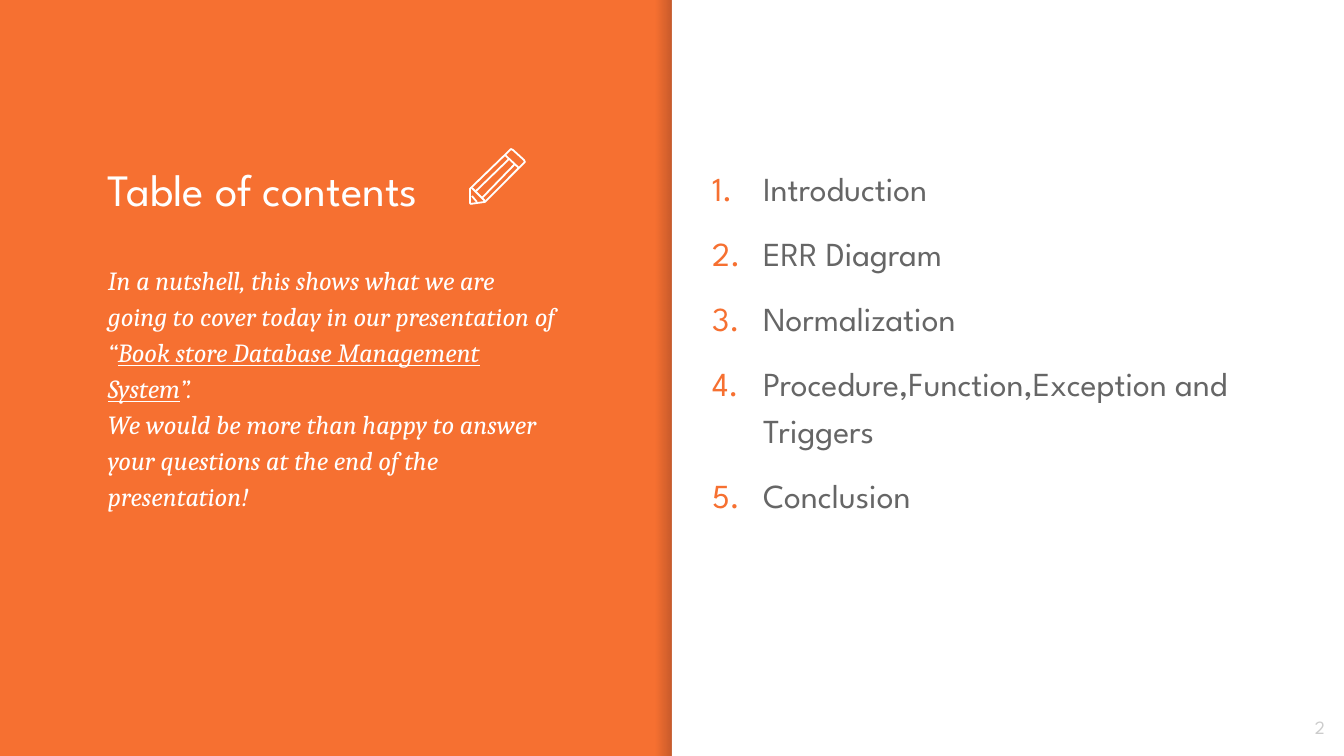
from lxml.etree import SubElement
from pptx import Presentation
from pptx.dml.color import RGBColor
from pptx.enum.shapes import MSO_SHAPE as Shape
from pptx.enum.text import MSO_ANCHOR as Anchor, PP_ALIGN as Align
from pptx.oxml.ns import qn
from pptx.util import Emu, Pt

PX = 914400 / 134.4
WIDTH, HEIGHT = 1344, 756
HALF = WIDTH // 2
SHADOW_WIDTH = 17
INSET = 13
COLORS = {"orange": "F67031", "white": "FFFFFF", "shade": "000014",
          "gray": "666666", "number": "CCCCCC"}
SANS, SERIF = "League Spartan", "Cambria"

# Content
TITLE = "Table of contents"
# Each paragraph is a list of (text, underlined)
INTRO = [
    [("In a nutshell, this shows what we are going to cover today in our presentation of “", False),
     ("Book store Database Management System", True),
     ("”.", False)],
    [("We would be more than happy to answer your questions at the end of the presentation!", False)],
]
TOPICS = ["Introduction", "ERR Diagram", "Normalization",
          "Procedure,Function,Exception and Triggers", "Conclusion"]
PAGE_NUMBER = "2"

# Pencil strokes: (points, closed)
PENCIL = [
    ([(524, 160), (513, 150), (511, 149), (510, 150), (505, 155),
      (519, 168), (524, 163), (525, 162)], True),       # eraser
    ([(505, 155), (471, 188), (470, 189), (470, 203), (471, 204),
      (485, 202), (519, 168)], False),                  # barrel
    ([(515, 164), (482, 198)], False),                  # lower edge
    ([(476, 191), (509, 159)], False),                  # upper edge
    ([(477, 202), (472, 196)], False),                  # lead
    ([(472, 188), (485, 201)], False),                  # sharpened edge
]


def px(value):
    return Emu(round(value * PX))


def color(name):
    return RGBColor.from_string(COLORS[name])


def add_panel(page, left, width):
    panel = page.shapes.add_shape(Shape.RECTANGLE, px(left), 0, px(width), px(HEIGHT))
    panel.shadow.inherit = False
    panel.line.fill.background()
    return panel


def add_text(page, left, top, width, height, paragraphs, font, size, tint,
             italic=False, spacing=None, anchor=Anchor.TOP):
    box = page.shapes.add_textbox(px(left), px(top), px(width), px(height))
    frame = box.text_frame
    frame.word_wrap = True
    frame.vertical_anchor = anchor
    frame.margin_left = frame.margin_right = px(INSET)
    frame.margin_top = frame.margin_bottom = px(INSET)
    for index, spans in enumerate(paragraphs):
        para = frame.add_paragraph() if index else frame.paragraphs[0]
        para.line_spacing = spacing
        para.font.name, para.font.size = font, Pt(size)
        para.font.italic = italic
        para.font.color.rgb = color(tint)
        for text, underlined in spans:
            span = para.add_run()
            span.text = text
            if underlined:
                span.font.underline = True
    return frame.paragraphs


def number_paragraph(para, indent, hanging):
    props = para._p.get_or_add_pPr()
    props.set("marL", str(px(indent)))
    props.set("indent", str(-px(hanging)))
    bullet_color = SubElement(props, qn("a:buClr"))
    SubElement(bullet_color, qn("a:srgbClr"), val=COLORS["orange"])
    bullet = SubElement(props, qn("a:buAutoNum"), type="arabicPeriod")
    # Bullet properties come before the default run properties
    defaults = props.find(qn("a:defRPr"))
    defaults.addprevious(bullet_color)
    defaults.addprevious(bullet)


deck = Presentation()
deck.slide_width, deck.slide_height = px(WIDTH), px(HEIGHT)
page = deck.slides.add_slide(deck.slide_layouts[6])
page.background.fill.solid()
page.background.fill.fore_color.rgb = color("orange")

# White half and the shadow along its edge
right_half = add_panel(page, HALF, HALF)
right_half.fill.solid()
right_half.fill.fore_color.rgb = color("white")

edge = add_panel(page, HALF - SHADOW_WIDTH, SHADOW_WIDTH)
edge.fill.gradient()
edge.fill.gradient_angle = 0
for stop, opacity in zip(edge.fill.gradient_stops, (0, 20)):
    stop.color.rgb = color("shade")
    for node in edge._element.iter(qn("a:srgbClr")):
        if len(node) == 0:
            SubElement(node, qn("a:alpha"), val=str(opacity * 1000))

# Texts
add_text(page, 95, 247, 477, 313, INTRO, SERIF, 14, "white", italic=True, spacing=1.15)
number = add_text(page, 1258, 698, 80, 58, [[(PAGE_NUMBER, False)]], SANS, 10,
                  "number", anchor=Anchor.MIDDLE)
number[0].alignment = Align.RIGHT
topics = add_text(page, 683, 149, 626, 517, [[(topic, False)] for topic in TOPICS],
                  SANS, 18, "gray", spacing=1.15)
for index, para in enumerate(topics):
    para.space_before = Pt(10 if index else 0)
    number_paragraph(para, 67, 51)
add_text(page, 95, 149, 477, 142, [[(TITLE, False)]], SANS, 24, "white")

# Pencil icon
pencil = page.shapes.add_group_shape()
for points, closed in PENCIL:
    builder = pencil.shapes.build_freeform(*points[0], scale=PX)
    builder.add_line_segments(points[1:], close=closed)
    stroke = builder.convert_to_shape()
    stroke.shadow.inherit = False
    stroke.fill.background()
    stroke.line.color.rgb = color("white")
    stroke.line.width = Pt(0.96)

deck.save("out.pptx")
